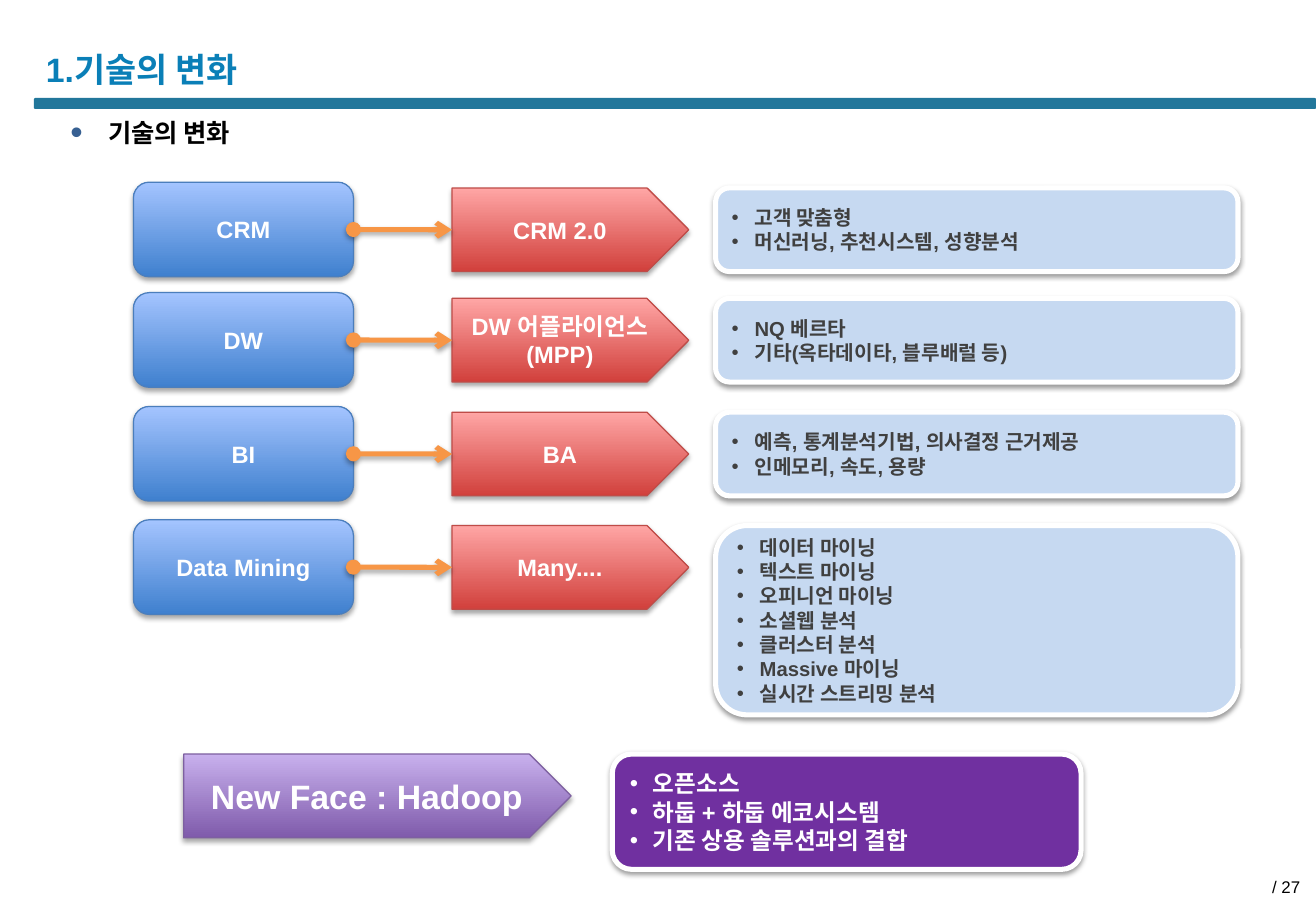
from dataclasses import dataclass

from lxml import etree
from pptx import Presentation
from pptx.dml.color import RGBColor
from pptx.enum.shapes import MSO_CONNECTOR, MSO_SHAPE
from pptx.enum.text import MSO_ANCHOR, MSO_AUTO_SIZE, PP_ALIGN
from pptx.oxml.ns import qn
from pptx.shapes.autoshape import Shape
from pptx.slide import Slide
from pptx.util import Cm, Pt

ROUND, PENTAGON = MSO_SHAPE.ROUNDED_RECTANGLE, MSO_SHAPE.PENTAGON
STRAIGHT = MSO_CONNECTOR.STRAIGHT
LEFT, CENTER, RIGHT = PP_ALIGN.LEFT, PP_ALIGN.CENTER, PP_ALIGN.RIGHT
TOP, MIDDLE = MSO_ANCHOR.TOP, MSO_ANCHOR.MIDDLE
NO_FIT = MSO_AUTO_SIZE.NONE
LEFT_SIDE, RIGHT_SIDE = 1, 3


@dataclass(frozen=True)
class Theme:
    font: str = "Arial"
    title: str = "0A7FB7"
    bar: str = "22779B"
    bullet: str = "376092"
    arrow: str = "F79646"
    black: str = "000000"
    white: str = "FFFFFF"
    gray: str = "404040"
    title_size: float = 20
    list_size: float = 15
    label_size: float = 14
    detail_size: float = 12
    page_size: float = 10


@dataclass(frozen=True)
class Look:
    kind: int
    fill: tuple[str, ...]
    line: str
    line_width: float
    color: str
    size: float
    bulleted: bool = False
    shadow_alpha: int = 35
    shadow_dist: float = 1.8


@dataclass(frozen=True)
class Area:
    left: float
    top: float
    width: float
    height: float

    def emu(self) -> tuple[int, int, int, int]:
        return Cm(self.left), Cm(self.top), Cm(self.width), Cm(self.height)


@dataclass(frozen=True)
class Row:
    top: float
    before: str
    after: tuple[str, ...]
    details: tuple[str, ...]
    detail_height: float = 1.75


T = Theme()
BEFORE = Look(ROUND, ("3F80CE", "A4C4FF"), "4B7EBC", 0.75, T.white, T.label_size)
AFTER = Look(PENTAGON, ("D1403C", "FFA6A5"), "BF4C48", 0.75, T.white, T.label_size)
NEW_FACE = Look(PENTAGON, ("7F5BAB", "C8B0ED"), "7D60A0", 0.75, T.white, T.title_size)
DETAIL = Look(ROUND, ("C6D9F1",), T.white, 3, T.gray, T.detail_size, True, 38, 1.6)
HADOOP = Look(ROUND, ("7030A0",), T.white, 3, T.white, T.label_size, True, 38, 1.6)

ROWS = [
    Row(3.81, "CRM", ("CRM 2.0",), ("고객 맞춤형", "머신러닝, 추천시스템, 성향분석")),
    Row(6.12, "DW", ("DW 어플라이언스", "(MPP)"),
        ("NQ 베르타", "기타(옥타데이타, 블루배럴 등)")),
    Row(8.5, "BI", ("BA",),
        ("예측, 통계분석기법, 의사결정 근거제공", "인메모리, 속도, 용량")),
    Row(10.87, "Data Mining", ("Many....",),
        ("데이터 마이닝", "텍스트 마이닝", "오피니언 마이닝", "소셜웹 분석",
         "클러스터 분석", "Massive 마이닝", "실시간 스트리밍 분석"), 3.96),
]


def rgb(value: str) -> RGBColor:
    return RGBColor.from_string(value)


def apply(target, values: dict) -> None:
    for name, value in values.items():
        setattr(target, name, value)


def add_bullet(p, indent: float, color: str = "", percent: int = 100) -> None:
    pPr = p._p.get_or_add_pPr()
    pPr.set("marL", str(Cm(indent)))
    pPr.set("indent", str(-Cm(indent)))
    if color:
        clr = etree.SubElement(pPr, qn("a:buClr"))
        etree.SubElement(clr, qn("a:srgbClr"), val=color)
    etree.SubElement(pPr, qn("a:buSzPct"), val=str(percent * 1000))
    etree.SubElement(pPr, qn("a:buFont"), typeface=T.font)
    etree.SubElement(pPr, qn("a:buChar"), char="•")


def write(p, text: str, size: float, color: str, bold: bool, align: int) -> None:
    apply(p, {"alignment": align, "space_before": Pt(0)})
    r = p.add_run()
    r.text = text
    apply(r.font, {"name": T.font, "size": Pt(size), "bold": bold})
    r.font.color.rgb = rgb(color)


def set_frame(sp: Shape, anchor: int, side: float) -> None:
    apply(sp.text_frame, {
        "word_wrap": True, "auto_size": NO_FIT, "vertical_anchor": anchor,
        "margin_left": Cm(side), "margin_right": Cm(side),
        "margin_top": 0, "margin_bottom": 0,
    })


def add_shadow(effects, alpha: int, dist: float) -> None:
    shadow = etree.SubElement(
        effects, qn("a:outerShdw"), blurRad=str(Pt(3.1)), dist=str(Pt(dist)),
        dir="5400000", rotWithShape="0")
    clr = etree.SubElement(shadow, qn("a:srgbClr"), val=T.black)
    etree.SubElement(clr, qn("a:alpha"), val=str(alpha * 1000))


def add_box(s: Slide, area: Area, look: Look, lines: tuple[str, ...]) -> Shape:
    sp = s.shapes.add_shape(look.kind, *area.emu())
    if len(look.fill) == 1:
        sp.fill.solid()
        sp.fill.fore_color.rgb = rgb(look.fill[0])
    else:
        sp.fill.gradient()
        sp.fill.gradient_angle = 90
        for stop, color in zip(sp.fill.gradient_stops, look.fill):
            stop.color.rgb = rgb(color)
    sp.line.color.rgb = rgb(look.line)
    sp.line.width = Pt(look.line_width)
    sp.shadow.inherit = False
    add_shadow(sp._element.spPr.find(qn("a:effectLst")), look.shadow_alpha, look.shadow_dist)
    set_frame(sp, MIDDLE, 0.25)
    tf = sp.text_frame
    for i, line in enumerate(lines):
        p = tf.add_paragraph() if i else tf.paragraphs[0]
        if look.bulleted:
            add_bullet(p, 0.48)
        write(p, line, look.size, look.color, True, LEFT if look.bulleted else CENTER)
    return sp


def add_arrow(s: Slide, start: Shape, end: Shape) -> None:
    arrow = s.shapes.add_connector(STRAIGHT, 0, 0, 0, 0)
    arrow.begin_connect(start, RIGHT_SIDE)
    arrow.end_connect(end, LEFT_SIDE)
    arrow.line.color.rgb = rgb(T.arrow)
    arrow.line.width = Pt(3)
    ln = arrow.line._get_or_add_ln()
    etree.SubElement(ln, qn("a:headEnd"), type="oval")
    etree.SubElement(ln, qn("a:tailEnd"), type="arrow")
    add_shadow(etree.SubElement(arrow._element.spPr, qn("a:effectLst")), 35, 1.8)


def place(sp: Shape, area: Area) -> None:
    apply(sp, dict(zip(("left", "top", "width", "height"), area.emu())))


def add_heading(s: Slide) -> None:
    bar = s.shapes.add_shape(ROUND, *Area(0.71, 2.05, 26.8, 0.23).emu())
    bar.adjustments[0] = 0.13
    bar.fill.solid()
    bar.fill.fore_color.rgb = rgb(T.bar)
    bar.line.fill.background()
    bar.shadow.inherit = False

    title, body = s.shapes.title, s.placeholders[1]
    place(title, Area(0.71, 0.84, 16.3, 1.19))
    set_frame(title, MIDDLE, 0.25)
    write(title.text_frame.paragraphs[0], "1.기술의 변화", T.title_size, T.title, True, LEFT)

    place(body, Area(1.47, 2.46, 18.1, 0.64))
    set_frame(body, TOP, 0)
    p = body.text_frame.paragraphs[0]
    add_bullet(p, 0.79, T.bullet, 140)
    write(p, "기술의 변화", T.list_size, T.black, True, LEFT)

    page = s.shapes.add_textbox(*Area(21, 18.26, 6.43, 0.58).emu())
    set_frame(page, MIDDLE, 0.25)
    write(page.text_frame.paragraphs[0], "/ 27", T.page_size, T.black, False, RIGHT)


def main() -> None:
    prs = Presentation()
    prs.slide_width, prs.slide_height = Cm(27.51), Cm(19.05)
    s = prs.slides.add_slide(prs.slide_layouts[1])
    add_heading(s)
    for row in ROWS:
        top = row.top + 0.12
        before = add_box(s, Area(2.79, row.top, 4.6, 1.98), BEFORE, (row.before,))
        after = add_box(s, Area(9.45, top, 4.95, 1.75), AFTER, row.after)
        add_arrow(s, before, after)
        add_box(s, Area(14.96, top, 10.92, row.detail_height), DETAIL, row.details)
    add_box(s, Area(3.84, 15.77, 8.1, 1.75), NEW_FACE, ("New Face : Hadoop",))
    add_box(s, Area(12.8, 15.77, 9.8, 2.41), HADOOP,
            ("오픈소스", "하둡 + 하둡 에코시스템", "기존 상용 솔루션과의 결합"))
    prs.save("out.pptx")


if __name__ == "__main__":
    main()
